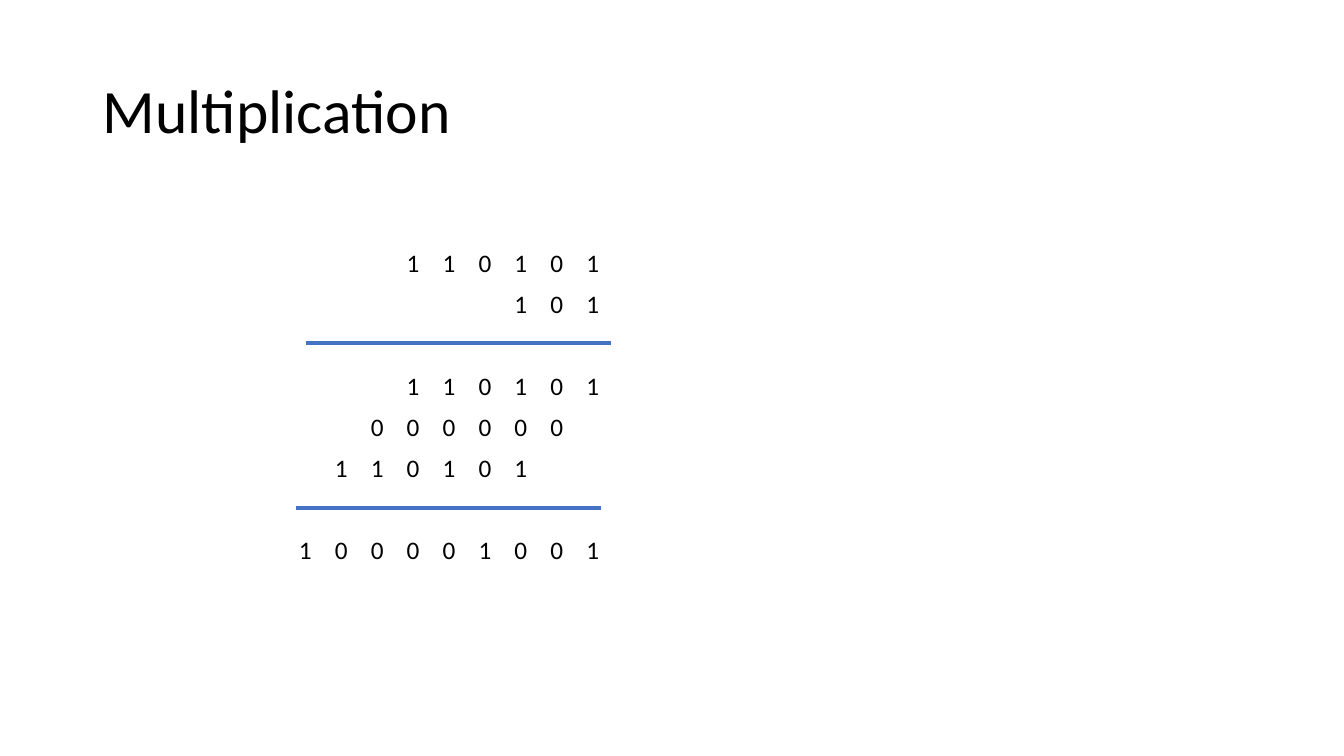
from dataclasses import dataclass

from lxml.etree import SubElement
from pptx import Presentation
from pptx.dml.color import RGBColor
from pptx.enum.shapes import MSO_CONNECTOR
from pptx.enum.text import MSO_ANCHOR, PP_ALIGN
from pptx.oxml.ns import qn
from pptx.util import Inches, Pt

TITLE = "Multiplication"
DIGIT_ROWS = [
    "   110101",
    "      101",
    "",
    "   110101",
    "  000000 ",
    " 110101  ",
    "",
    "100001001",
]
RULES = [(3.04, 3.4), (2.94, 5.04)]
RULE_LENGTH = 3.02
GRID_LEFT, GRID_TOP = 2.85, 2.42
GRID_WIDTH, ROW_HEIGHT = 3.21, 0.4


@dataclass(frozen=True)
class Theme:
    font: str = "Calibri"
    ink: RGBColor = RGBColor(0, 0, 0)
    rule: RGBColor = RGBColor(0x44, 0x72, 0xC4)
    title_size: Pt = Pt(44)
    digit_size: Pt = Pt(18)
    rule_width: Pt = Pt(3)


THEME = Theme()


def style_font(font, size):
    font.name = THEME.font
    font.size = size
    font.bold = False
    font.color.rgb = THEME.ink


def add_title(slide):
    title = slide.shapes.title
    title.left, title.top = Inches(0.92), Inches(0.4)
    title.width, title.height = Inches(11.5), Inches(1.45)
    title.text_frame.text = TITLE
    title.text_frame.vertical_anchor = MSO_ANCHOR.MIDDLE
    heading = title.text_frame.paragraphs[0]
    heading.alignment = PP_ALIGN.LEFT
    heading.line_spacing = 0.9
    style_font(heading.runs[0].font, THEME.title_size)


def add_digits(slide):
    row_count, column_count = len(DIGIT_ROWS), len(DIGIT_ROWS[0])
    grid = slide.shapes.add_table(
        row_count, column_count, Inches(GRID_LEFT), Inches(GRID_TOP),
        Inches(GRID_WIDTH), Inches(ROW_HEIGHT * row_count),
    ).table
    grid.first_row = False
    grid.horz_banding = False
    for row, digits in enumerate(DIGIT_ROWS):
        for column, digit in enumerate(digits.ljust(column_count)):
            cell = grid.cell(row, column)
            cell.fill.background()
            paragraph = cell.text_frame.paragraphs[0]
            paragraph.text = digit.strip()
            paragraph.alignment = PP_ALIGN.CENTER
            style_font(paragraph.font, THEME.digit_size)
            for run in paragraph.runs:
                style_font(run.font, THEME.digit_size)


def add_rule(slide, left, height):
    rule = slide.shapes.add_connector(
        MSO_CONNECTOR.STRAIGHT, Inches(left), Inches(height),
        Inches(left + RULE_LENGTH), Inches(height),
    )
    rule.line.color.rgb = THEME.rule
    rule.line.width = THEME.rule_width
    SubElement(rule._element.spPr, qn("a:effectLst"))


def main():
    presentation = Presentation()
    presentation.slide_width = Inches(13.33)
    presentation.slide_height = Inches(7.5)
    slide = presentation.slides.add_slide(presentation.slide_layouts[5])
    add_title(slide)
    add_digits(slide)
    for left, height in RULES:
        add_rule(slide, left, height)
    presentation.save("out.pptx")


if __name__ == "__main__":
    main()
